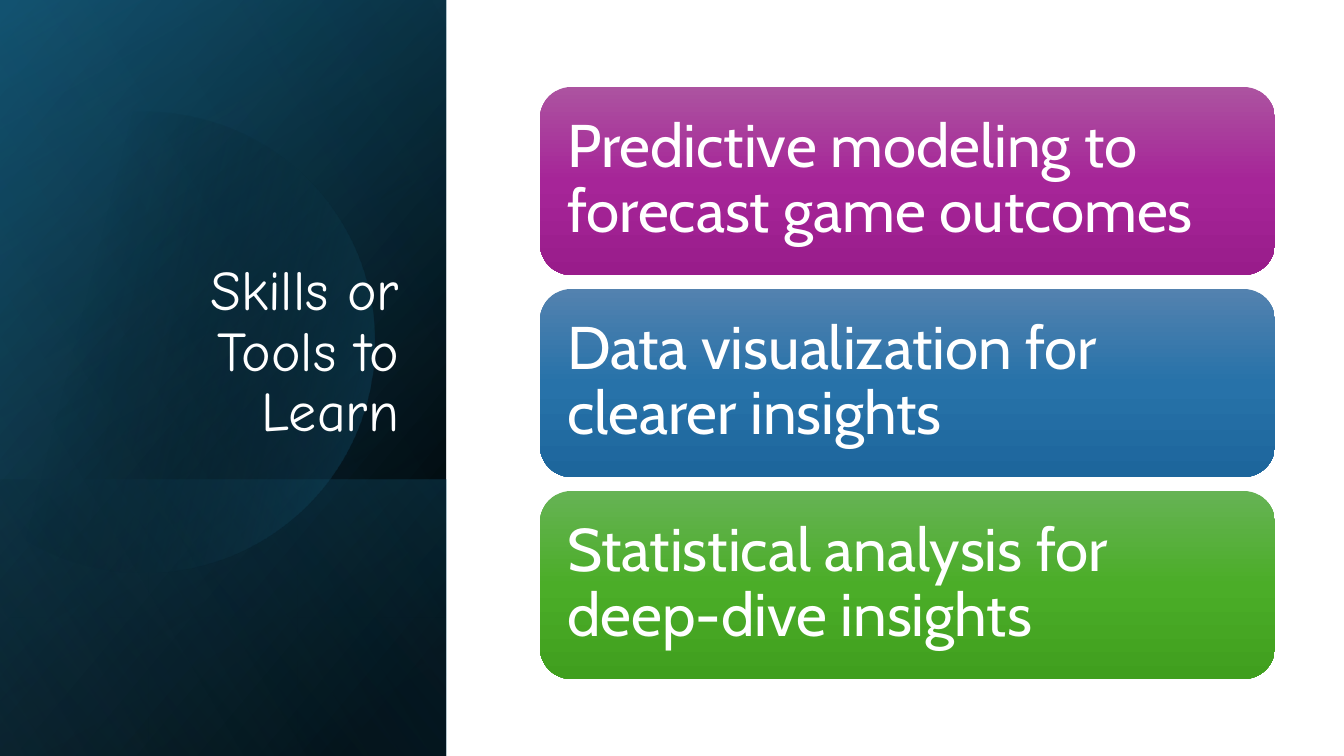
from math import acos, cos, sin

from lxml.etree import Element, SubElement
from pptx import Presentation
from pptx.dml.color import RGBColor
from pptx.enum.shapes import MSO_SHAPE
from pptx.enum.text import MSO_ANCHOR, PP_ALIGN
from pptx.oxml.ns import qn
from pptx.util import Emu, Pt

WHITE = RGBColor(0xFF, 0xFF, 0xFF)
BLACK = RGBColor(0x00, 0x00, 0x00)
TEAL = RGBColor(0x15, 0x60, 0x82)
DARK_TEAL = RGBColor(0x10, 0x48, 0x62)
SKY = RGBColor(0x46, 0xB1, 0xE1)
PURPLES = [RGBColor(0xAC, 0x53, 0xA0), RGBColor(0xA6, 0x25, 0x98), RGBColor(0x99, 0x1C, 0x8B)]
BLUES = [RGBColor(0x53, 0x82, 0xAF), RGBColor(0x27, 0x72, 0xA9), RGBColor(0x1D, 0x66, 0x9C)]
GREENS = [RGBColor(0x66, 0xB3, 0x54), RGBColor(0x4B, 0xAD, 0x28), RGBColor(0x40, 0x9F, 0x1E)]

TITLE = "Skills or Tools to Learn"
SKILLS = [
    ("Predictive modeling to forecast game outcomes", PURPLES),
    ("Data visualization for clearer insights", BLUES),
    ("Statistical analysis for deep-dive insights", GREENS),
]

# Gradient stops: (position %, colour, opacity %)
BASE = [(8, BLACK, 100), (100, DARK_TEAL, 100)]
TINT = [(0, BLACK, 0), (99, TEAL, 46)]
FOOT = [(2, TEAL, 29), (100, BLACK, 30)]
DISC = [(29, BLACK, 0), (100, TEAL, 43)]
GLOW = [(0, BLACK, 0), (99, SKY, 11)]

# Lengths in px
SLIDE_W, SLIDE_H = 1344, 756
PANEL_W = 446
FOOT_TOP = 480
DISC_X, DISC_Y, DISC_R, DISC_LEFT = 144, 342, 230, -15
DISC_STEPS = 120
TITLE_BOX = (65, 185, 344, 264)
CARD_X, CARD_Y, CARD_W, CARD_H, CARD_PITCH = 540, 87, 735, 188, 202
CARD_INSET = 18


def px(length):
    return Emu(round(length * 914400 / 100.8))


def paint(shape, stops, angle):
    """Give the shape a linear gradient, with no outline or shadow."""
    shape.shadow.inherit = False
    shape.line.fill.background()
    shape.fill.background()
    gradient = Element(qn("a:gradFill"), rotWithShape="1")
    stop_list = SubElement(gradient, qn("a:gsLst"))
    for position, color, opacity in stops:
        stop = SubElement(stop_list, qn("a:gs"), pos=str(position * 1000))
        value = SubElement(stop, qn("a:srgbClr"), val=str(color))
        if opacity < 100:
            SubElement(value, qn("a:alpha"), val=str(opacity * 1000))
    SubElement(gradient, qn("a:lin"), ang=str(angle * 60000), scaled="0")
    properties = shape.element.spPr
    properties.replace(properties.find(qn("a:noFill")), gradient)


def write(shape, text, font_name, size, align, anchor):
    frame = shape.text_frame
    frame.word_wrap = True
    frame.vertical_anchor = anchor
    paragraph = frame.paragraphs[0]
    paragraph.text = text
    paragraph.alignment = align
    paragraph.line_spacing = 0.9
    paragraph.font.name = font_name
    paragraph.font.size = Pt(size)
    paragraph.font.color.rgb = WHITE
    return frame


def add_panel_layer(shapes, top, stops, angle):
    """Cover the panel from top to the slide's foot with a mirrored rectangle on its side."""
    height = SLIDE_H - top
    shift = (PANEL_W - height) / 2
    layer = shapes.add_shape(MSO_SHAPE.RECTANGLE, px(shift), px(top - shift), px(height), px(PANEL_W))
    layer.rotation = 90
    layer.element.spPr.xfrm.set("flipH", "1")
    paint(layer, stops, angle)


def add_disc(shapes):
    """Draw a circle cut off by a straight left edge."""
    limit = acos((DISC_LEFT - DISC_X) / DISC_R)
    angles = [limit * (2 * step / DISC_STEPS - 1) for step in range(DISC_STEPS + 1)]
    points = [(px(DISC_X + DISC_R * cos(a)), px(DISC_Y + DISC_R * sin(a))) for a in angles]
    outline = shapes.build_freeform(*points[0])
    outline.add_line_segments(points[1:], close=True)
    paint(outline.convert_to_shape(), DISC, 14)


def add_card(shapes, row, text, colors):
    card = shapes.add_shape(MSO_SHAPE.ROUNDED_RECTANGLE, px(CARD_X), px(CARD_Y + row * CARD_PITCH),
                            px(CARD_W), px(CARD_H))
    paint(card, [(50 * i, color, 100) for i, color in enumerate(colors)], 90)
    frame = write(card, text, "Cabin", 43, PP_ALIGN.LEFT, MSO_ANCHOR.MIDDLE)
    frame.margin_left = frame.margin_right = px(CARD_INSET)
    frame.margin_top = frame.margin_bottom = px(CARD_INSET)


def main():
    deck = Presentation()
    deck.slide_width, deck.slide_height = px(SLIDE_W), px(SLIDE_H)
    shapes = deck.slides.add_slide(deck.slide_layouts[6]).shapes

    add_panel_layer(shapes, 0, BASE, 50)
    add_panel_layer(shapes, 0, TINT, 30)
    add_panel_layer(shapes, FOOT_TOP, FOOT, 130)
    add_disc(shapes)
    add_panel_layer(shapes, 0, GLOW, 120)

    title = shapes.add_textbox(*map(px, TITLE_BOX))
    write(title, TITLE, "Comic Neue", 40, PP_ALIGN.RIGHT, MSO_ANCHOR.BOTTOM)

    for row, (text, colors) in enumerate(SKILLS):
        add_card(shapes, row, text, colors)

    deck.save("out.pptx")


if __name__ == "__main__":
    main()
